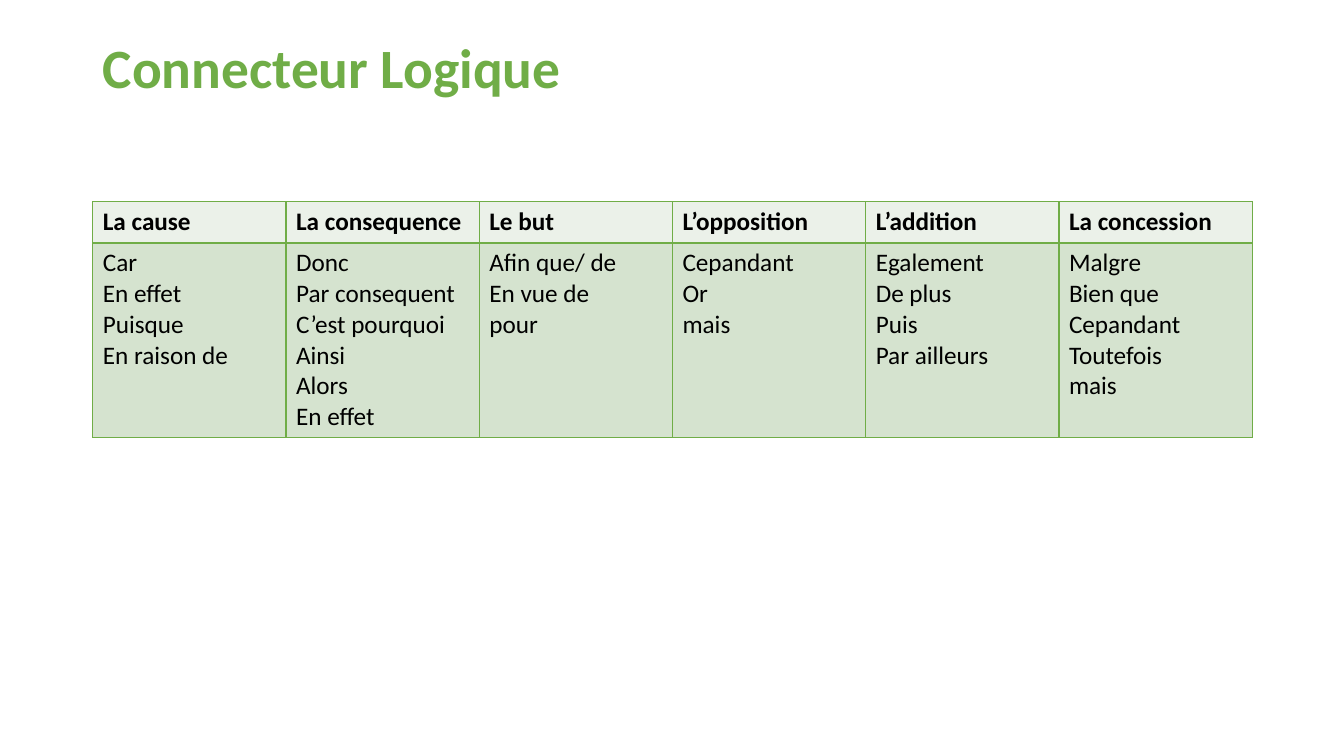
from lxml.etree import SubElement
from pptx import Presentation
from pptx.dml.color import RGBColor
from pptx.enum.text import MSO_ANCHOR, MSO_AUTO_SIZE, PP_ALIGN
from pptx.oxml.ns import qn
from pptx.util import Inches, Pt

GREEN = RGBColor(0x70, 0xAD, 0x47)
HEADER_FILL = RGBColor(0xEB, 0xF1, 0xE9)
BODY_FILL = RGBColor(0xD5, 0xE3, 0xCF)
BLACK = RGBColor(0x00, 0x00, 0x00)
FONT = "Calibri"

CONNECTORS = {
    "La cause": ["Car", "En effet", "Puisque", "En raison de"],
    "La consequence": ["Donc", "Par consequent", "C’est pourquoi", "Ainsi",
                       "Alors", "En effet"],
    "Le but": ["Afin que/ de", "En vue de", "pour"],
    "L’opposition": ["Cepandant", "Or", "mais"],
    "L’addition": ["Egalement", "De plus", "Puis", "Par ailleurs"],
    "La concession": ["Malgre", "Bien que", "Cepandant", "Toutefois", "mais"],
}


def add_span(para, text, size, color, bold):
    span = para.add_run()
    span.text = text
    span.font.name = FONT
    span.font.size = Pt(size)
    span.font.color.rgb = color
    span.font.bold = bold


def add_borders(cell):
    properties = cell._tc.get_or_add_tcPr()
    for side in ("a:lnL", "a:lnR", "a:lnT", "a:lnB"):
        line = SubElement(properties, qn(side), w=str(Pt(1)))
        fill = SubElement(line, qn("a:solidFill"))
        SubElement(fill, qn("a:srgbClr"), val=str(GREEN))


def fill_cell(cell, lines, fill, bold):
    add_borders(cell)
    cell.fill.solid()
    cell.fill.fore_color.rgb = fill
    frame = cell.text_frame
    for index, line in enumerate(lines):
        para = frame.add_paragraph() if index else frame.paragraphs[0]
        add_span(para, line, 18, BLACK, bold)


def place_title(slide, text, left, top, width, height):
    title = slide.shapes.title
    title.left, title.top, title.width, title.height = left, top, width, height
    frame = title.text_frame
    frame.auto_size = MSO_AUTO_SIZE.NONE
    frame.vertical_anchor = MSO_ANCHOR.MIDDLE
    para = frame.paragraphs[0]
    para.alignment = PP_ALIGN.LEFT
    para.line_spacing = 0.9
    add_span(para, text, 39.6, GREEN, True)


def add_connector_table(slide, left, top, width, header_height, body_height):
    table = slide.shapes.add_table(2, len(CONNECTORS), left, top, width,
                                   header_height + body_height).table
    table.rows[0].height = header_height
    table.rows[1].height = body_height
    for column, (heading, words) in enumerate(CONNECTORS.items()):
        fill_cell(table.cell(0, column), [heading], HEADER_FILL, True)
        fill_cell(table.cell(1, column), words, BODY_FILL, False)


def main():
    deck = Presentation()
    deck.slide_width, deck.slide_height = Inches(13.33), Inches(7.5)
    slide = deck.slides.add_slide(deck.slide_layouts.get_by_name("Title Only"))
    left, width = Inches(0.92), Inches(11.5)
    place_title(slide, "Connecteur Logique", left, Inches(0.4), width, Inches(0.6))
    add_connector_table(slide, left, Inches(2), width, Inches(0.41), Inches(1.9))
    deck.save("out.pptx")


if __name__ == "__main__":
    main()
